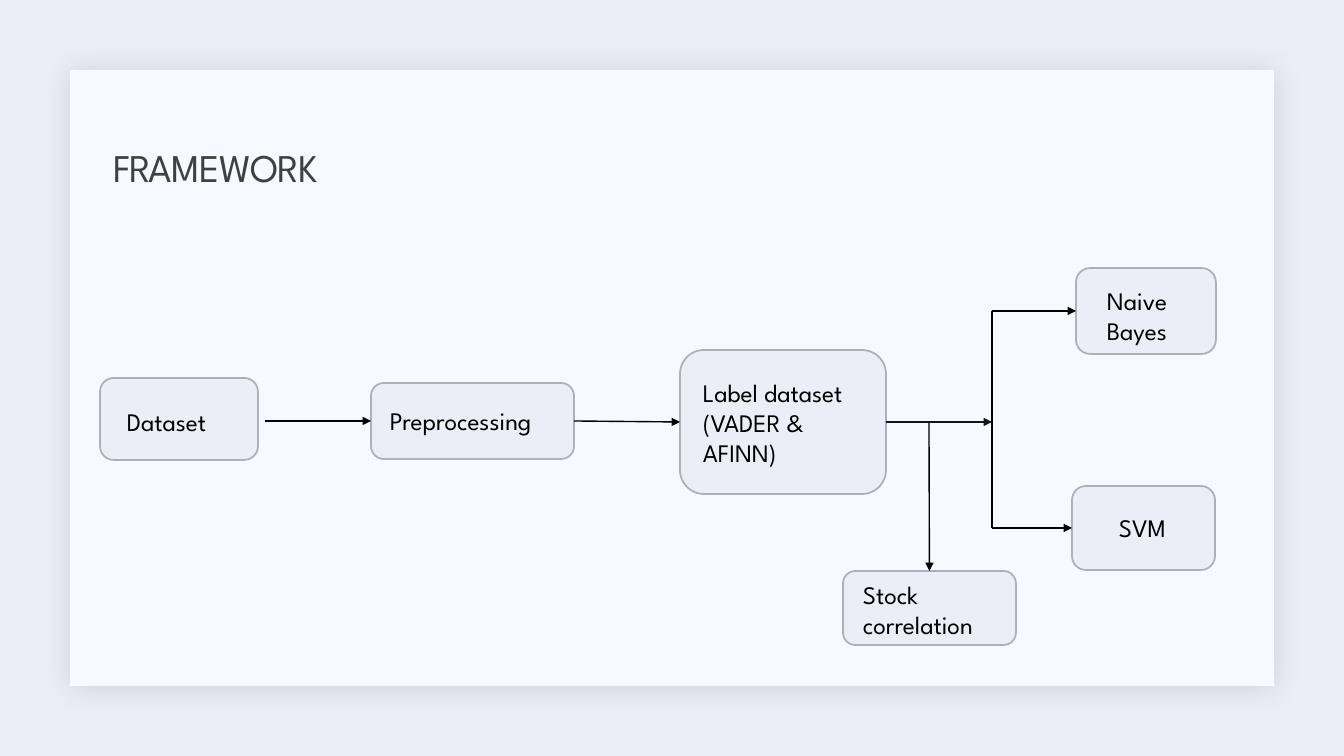
from dataclasses import dataclass

from lxml import etree
from pptx import Presentation
from pptx.dml.color import RGBColor
from pptx.enum.shapes import MSO_CONNECTOR, MSO_SHAPE
from pptx.enum.text import MSO_ANCHOR, MSO_AUTO_SIZE, PP_ALIGN
from pptx.oxml.ns import qn
from pptx.util import Emu, Pt

STRAIGHT = MSO_CONNECTOR.STRAIGHT
RECTANGLE, ROUNDED = MSO_SHAPE.RECTANGLE, MSO_SHAPE.ROUNDED_RECTANGLE
MIDDLE, LEFT = MSO_ANCHOR.MIDDLE, PP_ALIGN.LEFT
GROW = MSO_AUTO_SIZE.SHAPE_TO_FIT_TEXT
TOP_SIDE, LEFT_SIDE, RIGHT_SIDE = 0, 1, 3
EMU_PER_INCH, PX_PER_INCH = 914400, 100.8
TITLE_ONLY = 5


@dataclass(frozen=True)
class Theme:
    font: str = "League Spartan"
    title_size: int = 28
    label_size: int = 18
    title: str = "404040"
    text: str = "000000"
    backdrop: str = "ECEEF7"
    card: str = "F6F9FF"
    outline: str = "AFB0B7"
    shadow: str = "1F2125"
    branch: str = "141514"


THEME = Theme()

# name: (box frame, label frame, label paragraphs)
STEPS = {
    "dataset": ((100, 378, 158, 82), (117, 401, 128, 40), ["Dataset"]),
    "preprocessing": ((371, 383, 203, 76), (380, 400, 194, 40), ["Preprocessing"]),
    "labelling": ((680, 350, 206, 144), (693, 372, 193, 102),
                  ["Label dataset (VADER & AFINN)"]),
    "bayes": ((1076, 268, 140, 86), (1097, 280, 115, 72), ["Naive", "Bayes"]),
    "svm": ((1072, 486, 143, 84), (1109, 507, 117, 40), ["SVM"]),
    "stock": ((843, 571, 173, 74), (853, 574, 153, 72), ["Stock correlation"]),
}


def px(length):
    return Emu(round(length * EMU_PER_INCH / PX_PER_INCH))


def scaled(lengths):
    return [px(length) for length in lengths]


def rgb(code):
    return RGBColor.from_string(code)


def format_font(font, size, color):
    font.name = THEME.font
    font.size = Pt(size)
    font.color.rgb = rgb(color)


def add_box(page, frame, kind=ROUNDED, fill=THEME.backdrop, outline=THEME.outline):
    box = page.shapes.add_shape(kind, *scaled(frame))
    box.shadow.inherit = False
    box.fill.solid()
    box.fill.fore_color.rgb = rgb(fill)
    if outline:
        box.line.color.rgb = rgb(outline)
        box.line.width = Pt(1.25)
    else:
        box.line.fill.background()
    return box


def add_soft_shadow(box):
    effects = box.element.spPr.find(qn("a:effectLst"))
    shadow = etree.SubElement(effects, qn("a:outerShdw"), blurRad=str(Pt(20)),
                              dist=str(Pt(2)), dir=str(45 * 60000),
                              algn="tl", rotWithShape="0")
    color = etree.SubElement(shadow, qn("a:srgbClr"), val=THEME.shadow)
    etree.SubElement(color, qn("a:alpha"), val="15000")


def add_label(page, frame, lines):
    text_frame = page.shapes.add_textbox(*scaled(frame)).text_frame
    text_frame.word_wrap = True
    text_frame.auto_size = GROW
    text_frame.text = "\n".join(lines)
    for para in text_frame.paragraphs:
        format_font(para.font, THEME.label_size, THEME.text)


def add_line(page, start, end, color=THEME.text, arrow=True):
    """Join two ends, each an (x, y) point or a (box, side) pair."""
    points = [(0, 0) if hasattr(first, "element") else scaled((first, second))
              for first, second in (start, end)]
    line = page.shapes.add_connector(STRAIGHT, *points[0], *points[1])
    for target, connect in ((start, line.begin_connect), (end, line.end_connect)):
        if hasattr(target[0], "element"):
            connect(*target)
    line.line.color.rgb = rgb(color)
    line.line.width = Pt(1)
    if arrow:
        etree.SubElement(line.line._get_or_add_ln(), qn("a:tailEnd"), type="triangle")
    etree.SubElement(line.element.spPr, qn("a:effectLst"))


def add_title(page, text, frame):
    title = page.shapes.title
    title.left, title.top, title.width, title.height = scaled(frame)
    title.text_frame.text = text
    title.text_frame.vertical_anchor = MIDDLE
    para = title.text_frame.paragraphs[0]
    para.alignment = LEFT
    para.line_spacing = 0.9
    span = para.runs[0]
    format_font(span.font, THEME.title_size, THEME.title)
    span.font._element.set("spc", "-50")
    return title


def add_flow(page):
    boxes = {}
    for name, (box_frame, label_frame, lines) in STEPS.items():
        boxes[name] = add_box(page, box_frame)
        add_label(page, label_frame, lines)

    fork_x, fork_y, upper_y, lower_y = 992, 422, 311, 528
    add_line(page, (265, 421), (boxes["preprocessing"], LEFT_SIDE))
    add_line(page, (boxes["preprocessing"], RIGHT_SIDE), (boxes["labelling"], LEFT_SIDE))
    add_line(page, (boxes["labelling"], RIGHT_SIDE), (fork_x, fork_y), color=THEME.branch)
    add_line(page, (fork_x, upper_y), (fork_x, lower_y), arrow=False)
    add_line(page, (fork_x, upper_y), (boxes["bayes"], LEFT_SIDE))
    add_line(page, (fork_x, lower_y), (boxes["svm"], LEFT_SIDE))
    add_line(page, (929, fork_y), (boxes["stock"], TOP_SIDE))


def main():
    deck = Presentation()
    deck.slide_width, deck.slide_height = scaled((1344, 756))
    page = deck.slides.add_slide(deck.slide_layouts[TITLE_ONLY])
    page.background.fill.solid()
    page.background.fill.fore_color.rgb = rgb(THEME.backdrop)

    title = add_title(page, "FRAMEWORK", (103, 99, 1109, 142))
    card = add_box(page, (70, 70, 1204, 616), kind=RECTANGLE, fill=THEME.card, outline=None)
    add_soft_shadow(card)
    title.element.addprevious(card.element)
    add_flow(page)
    deck.save("out.pptx")


if __name__ == "__main__":
    main()
